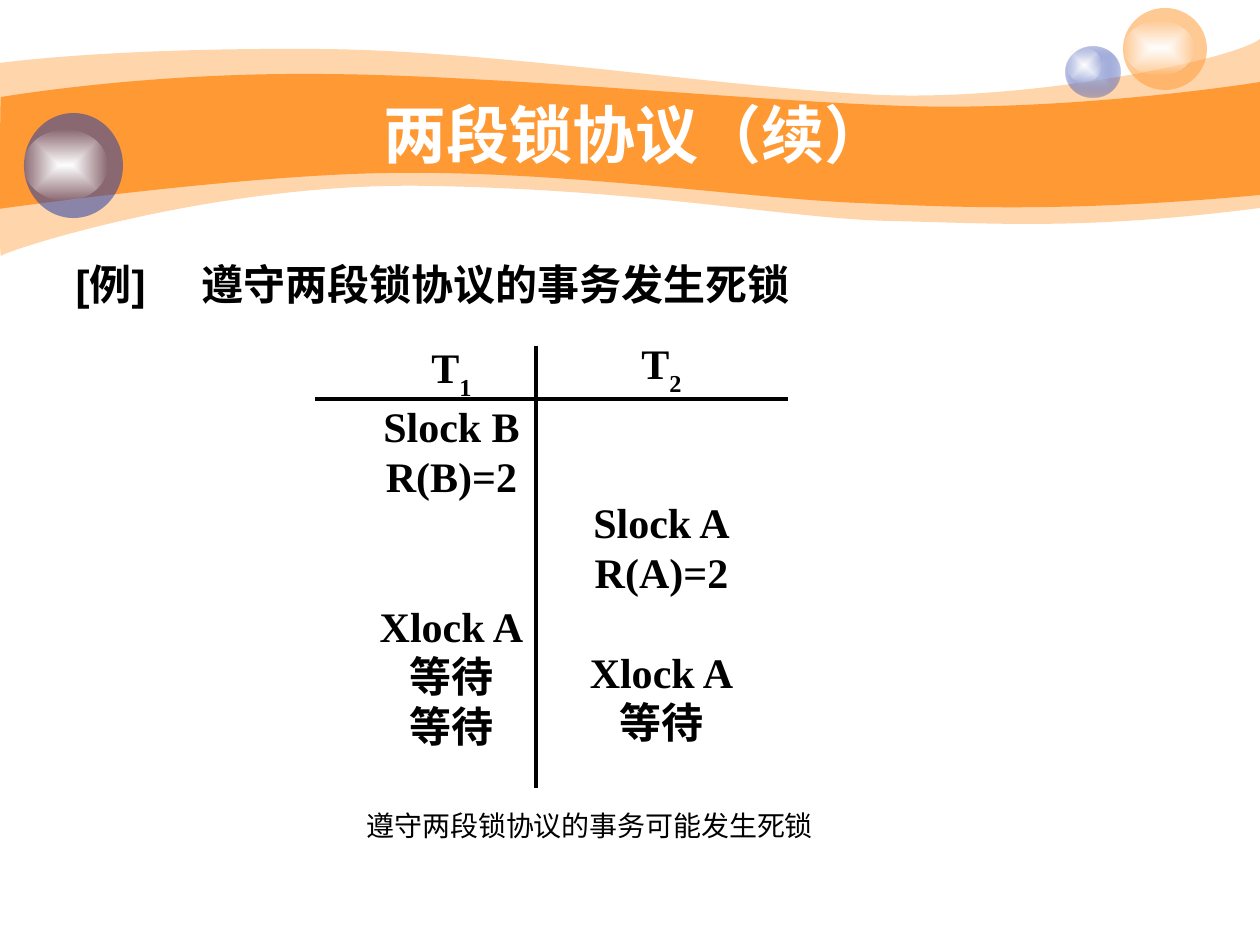
from dataclasses import dataclass
from pptx import Presentation
from pptx import util as u
from pptx.dml.color import RGBColor
from pptx.enum import shapes, text
from pptx.oxml import parse_xml
from pptx.oxml.ns import nsdecls

PX = 914400 / 126          # EMU in one px


@dataclass(frozen=True)
class Theme:
    orange: str = "FF9933"
    blue: str = "233DA9"
    pale_blue: str = "C7CEE9"
    white: str = "FFFFFF"
    black: str = "000000"
    sans: str = "Arial"
    serif: str = "Times New Roman"
    title: int = 36
    body: int = 24
    caption: int = 16
    rule: float = 2.25


def emu(*px):
    return [u.Emu(round(v * PX)) for v in px]


def points(px):
    return u.Emu(round(px * PX)).pt


def color_xml(color, alpha):
    return f'<a:srgbClr val="{color}"><a:alpha val="{alpha * 1000}"/></a:srgbClr>'


def bend(lines):
    """Join each three line segments into one cubic curve."""
    for first, second, third in zip(*[iter(lines)] * 3):
        cubic = parse_xml(f'<a:cubicBezTo {nsdecls("a")}/>')
        first.addprevious(cubic)
        for segment in (first, second, third):
            cubic.append(segment[0])
            segment.getparent().remove(segment)


class Deck:
    def __init__(self, theme):
        self.theme = theme
        self.prs = Presentation()
        self.prs.slide_width, self.prs.slide_height = emu(1260, 945)
        self.s = self.prs.slides.add_slide(self.prs.slide_layouts[1])

    def paint(self, sp, xml):
        """Give a shape a fill, no line and no shadow."""
        sp.shadow.inherit = False
        sp.line.fill.background()
        sp.fill.background()
        old = sp.element.spPr.find("{*}noFill")
        old.getparent().replace(old, parse_xml(xml))

    def solid(self, sp, color, alpha=100):
        self.paint(sp, f'<a:solidFill {nsdecls("a")}>{color_xml(color, alpha)}</a:solidFill>')

    def glow(self, sp, inner, outer, alpha):
        self.paint(sp, f'<a:gradFill {nsdecls("a")} rotWithShape="1"><a:gsLst>'
                       f'<a:gs pos="0">{color_xml(inner, 100)}</a:gs>'
                       f'<a:gs pos="100000">{color_xml(outer, alpha)}</a:gs></a:gsLst>'
                       '<a:path path="rect"><a:fillToRect l="50000" t="50000" '
                       'r="50000" b="50000"/></a:path></a:gradFill>')

    def wave(self, start, top, corner, bottom, alpha):
        """Curved top edge, straight right side, curved bottom edge."""
        fb = self.s.shapes.build_freeform(*start, scale=PX)
        fb.add_line_segments(top + [corner] + bottom, close=True)
        sp = fb.convert_to_shape()
        lines = sp.element.spPr.findall(".//{*}lnTo")
        bend(lines[:len(top)])
        bend(lines[len(top) + 1:])
        self.solid(sp, self.theme.orange, alpha)

    def ellipse(self, *box):
        return self.s.shapes.add_shape(shapes.MSO_SHAPE.OVAL, *emu(*box))

    def highlight(self, *box):
        self.glow(self.ellipse(*box), self.theme.white, self.theme.white, 0)

    def line(self, *ends):
        c = self.s.shapes.add_connector(shapes.MSO_CONNECTOR.STRAIGHT, *emu(*ends))
        c.line.color.rgb = RGBColor.from_string(self.theme.black)
        c.line.width = u.Pt(self.theme.rule)
        c.element.spPr.append(parse_xml(f'<a:effectLst {nsdecls("a")}/>'))

    def frame(self, sp, anchor, wrap, inset=6):
        tf = sp.text_frame
        side, top, bottom = emu(12.6, inset, 6)
        values = dict(margin_left=side, margin_right=side,
                      margin_top=top, margin_bottom=bottom,
                      word_wrap=wrap, vertical_anchor=anchor,
                      auto_size=text.MSO_AUTO_SIZE.NONE)
        for name, value in values.items():
            setattr(tf, name, value)
        return tf

    def run(self, p, words, color, **font):
        r = p.add_run()
        r.text = words
        for name, value in font.items():
            setattr(r.font, name, value)
        r.font.color.rgb = RGBColor.from_string(color)
        return r

    def placeholder(self, index, box, words, size, color, anchor, align, tab=None):
        sp = self.s.placeholders[index]
        sp.left, sp.top, sp.width, sp.height = emu(*box)
        self.s.shapes.element.append(sp.element)   # bring in front of the waves
        p = self.frame(sp, anchor, True).paragraphs[0]
        p.alignment = align
        if tab:
            pPr = p._p.get_or_add_pPr()
            pPr.set("marL", "0")
            pPr.set("indent", "0")
            pPr.append(parse_xml(f'<a:buNone {nsdecls("a")}/>'))
            pPr.append(parse_xml(f'<a:tabLst {nsdecls("a")}>'
                                 f'<a:tab pos="{emu(tab)[0]}" algn="l"/></a:tabLst>'))
        p.space_before = u.Pt(0)
        self.run(p, words, color, name=self.theme.sans, size=u.Pt(size), bold=True)

    def textbox(self, box, inset=6):
        sp = self.s.shapes.add_textbox(*emu(*box))
        return self.frame(sp, text.MSO_ANCHOR.TOP, False, inset)

    def schedule(self, box, inset, number, steps, row=50):
        """A transaction column; each step has the count of free rows above it."""
        t = self.theme
        font = dict(name=t.serif, size=u.Pt(t.body), bold=True)
        tf = self.textbox(box, inset)
        for i, (gap, words) in enumerate([(0, "T")] + steps):
            p = tf.paragraphs[0] if i == 0 else tf.add_paragraph()
            p.alignment = text.PP_ALIGN.CENTER
            p.line_spacing = u.Pt(points(row))
            p.space_before = u.Pt(points(gap * row))
            self.run(p, words, t.black, **font)
            if i == 0:
                r = self.run(p, number, t.black, **font)
                r._r.get_or_add_rPr().set("baseline", "-30000")

    def caption(self, box, words):
        t = self.theme
        p = self.textbox(box).paragraphs[0]
        p.alignment = text.PP_ALIGN.CENTER
        self.run(p, words, t.black, name=t.serif, size=u.Pt(t.caption))


def main():
    t = Theme()
    d = Deck(t)

    # Banner waves
    d.wave((0, 63),
           [(30, 59), (135, 48), (311, 49), (486, 49), (725, 88), (881, 95),
            (1036, 101), (1235, 59), (1260, 39)],
           (1260, 208),
           [(1081, 231), (992, 223), (888, 221), (784, 218), (649, 190), (432, 186),
            (217, 181), (5, 251), (1, 256), (-1, 262), (0, 95), (0, 63)], 41)
    d.wave((1, 97),
           [(3, 97), (139, 73), (312, 74), (486, 74), (750, 101), (905, 106),
            (1060, 111), (1230, 87), (1260, 82)],
           (1260, 195),
           [(1075, 212), (964, 208), (859, 203), (755, 199), (563, 171), (399, 173),
            (256, 173), (-3, 209), (-1, 209), (0, 209), (0, 97), (1, 97)], 100)

    # Spheres
    d.glow(d.ellipse(1066, 47, 54, 51), t.pale_blue, t.blue, 31)
    d.highlight(1067, 48, 35, 34)
    d.solid(d.ellipse(1123, 8, 84, 82), t.orange, 53)
    d.highlight(1124, 21, 70, 54)
    d.solid(d.ellipse(24, 113, 99, 105), t.blue, 53)
    d.highlight(24, 130, 83, 70)

    # Title and example
    d.placeholder(0, (126, 94, 1018, 78), "两段锁协议（续）", t.title, t.white,
                  text.MSO_ANCHOR.MIDDLE, text.PP_ALIGN.CENTER)
    d.placeholder(1, (63, 252, 1134, 620), "[例]\t遵守两段锁协议的事务发生死锁", t.body,
                  t.black, text.MSO_ANCHOR.TOP, text.PP_ALIGN.LEFT, tab=122)

    # Schedule of the two transactions
    d.schedule((367, 325, 169, 494), 26, "1",
               [(0, "Slock B"), (0, "R(B)=2"), (2, "Xlock A"), (0, "等待"), (0, "等待")])
    d.schedule((577, 347, 169, 494), 0, "2",
               [(2, "Slock A"), (0, "R(A)=2"), (1, "Xlock A"), (0, "等待")])
    d.line(315, 399, 788, 399)
    d.line(536, 346, 536, 788)

    # Conclusion
    d.caption((303, 803, 574, 50), "遵守两段锁协议的事务可能发生死锁")

    d.prs.save("out.pptx")


if __name__ == "__main__":
    main()
